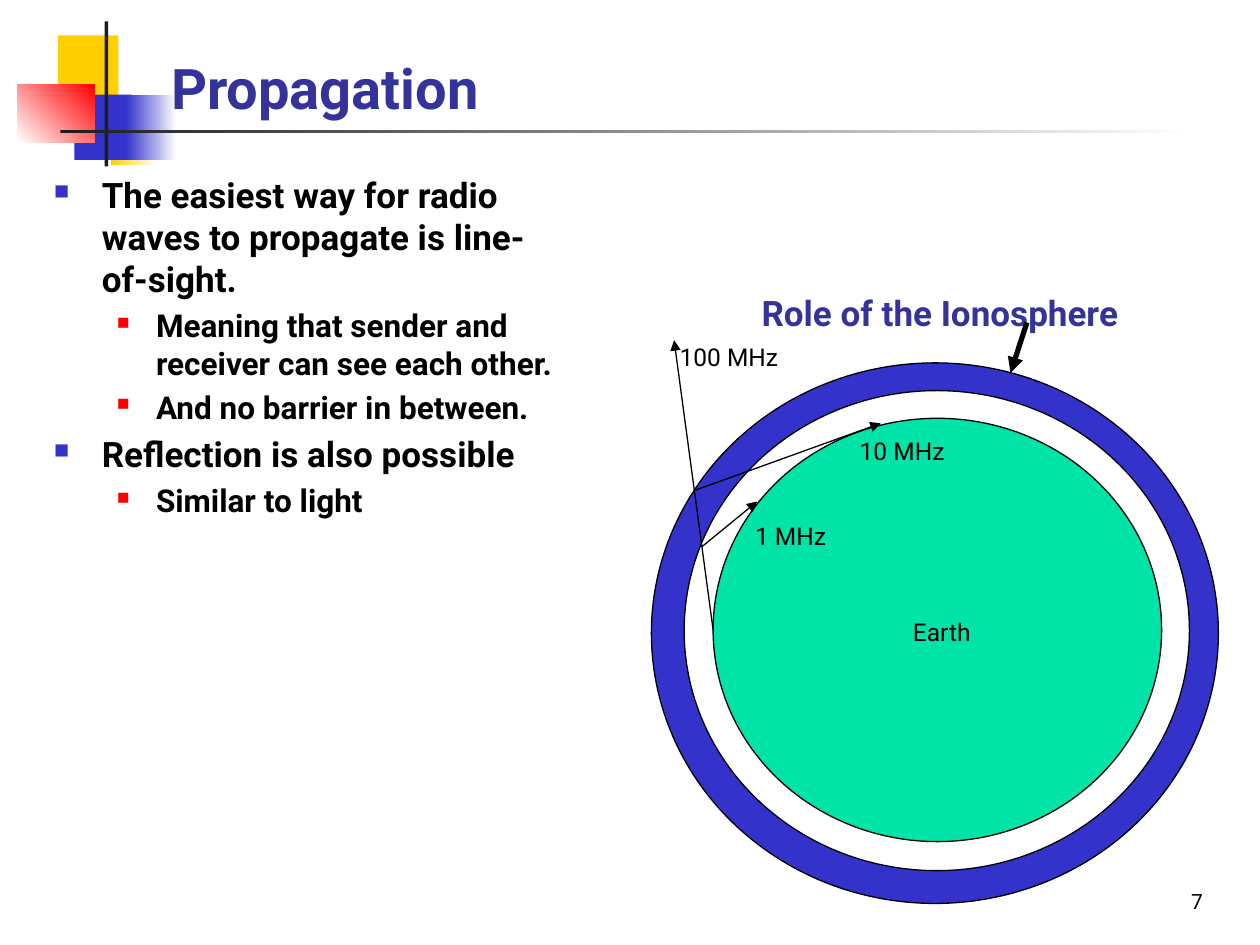
from lxml import etree
from pptx import Presentation
from pptx.dml.color import RGBColor
from pptx.enum.shapes import MSO_CONNECTOR, MSO_SHAPE
from pptx.enum.text import MSO_ANCHOR, PP_ALIGN
from pptx.oxml.ns import qn
from pptx.util import Inches, Pt

RECTANGLE, OVAL = MSO_SHAPE.RECTANGLE, MSO_SHAPE.OVAL
STRAIGHT = MSO_CONNECTOR.STRAIGHT
TOP, MIDDLE, BOTTOM = MSO_ANCHOR.TOP, MSO_ANCHOR.MIDDLE, MSO_ANCHOR.BOTTOM
LEFT, CENTER = PP_ALIGN.LEFT, PP_ALIGN.CENTER

FONT = "Roboto"
BLACK, WHITE, CHARCOAL = "000000", "FFFFFF", "1C1C1C"
BLUE, NAVY, RED, YELLOW, GREEN = "3333CC", "333399", "FF0000", "FFCF01", "00E4A8"

BULLET_LEVELS = [
    {"size": 20, "margin": 0.38, "hanging": 0.38, "color": BLUE, "percent": 60},
    {"size": 18, "margin": 0.81, "hanging": 0.31, "color": RED, "percent": 55},
]
POINTS = [
    (0, "The easiest way for radio waves to propagate is line-of-sight."),
    (1, "Meaning that sender and receiver can see each other."),
    (1, "And no barrier in between."),
    (0, "Reflection is also possible"),
    (1, "Similar to light"),
]


def rgb(color):
    """Turn a hex string into a colour."""
    return RGBColor.from_string(color)


def add_child(parent, tag, **values):
    """Append a drawing element with the given attributes."""
    child = etree.SubElement(parent, qn(tag))
    for name, value in values.items():
        child.set(name, str(value))
    return child


def format_font(font, size, color, bold):
    """Set the font from a dict of format values."""
    values = {"name": FONT, "size": Pt(size), "bold": bold}
    for name, value in values.items():
        setattr(font, name, value)
    font.color.rgb = rgb(color)


def add_solid(page, kind, box, colors, line=None, angle=0):
    """Draw a shape with one colour or a two-colour gradient."""
    shape = page.shapes.add_shape(kind, *map(Inches, box))
    shape.shadow.inherit = False
    if len(colors) == 1:
        shape.fill.solid()
        shape.fill.fore_color.rgb = rgb(colors[0])
    else:
        shape.fill.gradient()
        shape.fill.gradient_angle = angle
        for stop, color in zip(shape.fill.gradient_stops, colors):
            stop.color.rgb = rgb(color)
    if line:
        shape.line.color.rgb = rgb(line)
        shape.line.width = Pt(0.75)
    else:
        shape.line.fill.background()


def add_text(page, box, text, size, color=BLACK, bold=False, align=CENTER,
             anchor=TOP, wrap=True):
    """Place one paragraph of text in a box."""
    frame = page.shapes.add_textbox(*map(Inches, box)).text_frame
    for name, value in {"word_wrap": wrap, "vertical_anchor": anchor}.items():
        setattr(frame, name, value)
    para = frame.paragraphs[0]
    para.text = text
    para.alignment = align
    format_font(para.font, size, color, bold)


def add_arrow(page, start, end, width=0.75):
    """Draw a straight line with an arrowhead at its end."""
    arrow = page.shapes.add_connector(STRAIGHT, *map(Inches, start + end))
    arrow.line.color.rgb = rgb(BLACK)
    arrow.line.width = Pt(width)
    add_child(arrow.line._get_or_add_ln(), "a:tailEnd", type="triangle")
    add_child(arrow._element.spPr, "a:effectLst")


def draw_ornament(page, left, top):
    """Draw the overlapping squares and the two rules."""
    parts = [
        ((0.32, 0.11, 0.48, 0.52), [YELLOW], 0),
        ((0.74, 0.62, 0.36, 0.52), [YELLOW, WHITE], 0),
        ((0.45, 0.58, 0.46, 0.52), [BLUE], 0),
        ((0.86, 0.58, 0.4, 0.52), [BLUE, WHITE], 0),
        ((0, 0.5, 0.61, 0.46), [WHITE, RED], 45),
        ((0.69, 0, 0.03, 1.15), [CHARCOAL], 0),
        ((0.34, 0.86, 9, 0.03), [CHARCOAL, WHITE], 0),
    ]
    for (x, y, width, height), colors, angle in parts:
        box = (left + x, top + y, width, height)
        add_solid(page, RECTANGLE, box, colors, angle=angle)


def draw_points(page, box):
    """Write the two-level bullet list."""
    frame = page.shapes.add_textbox(*map(Inches, box)).text_frame
    frame.word_wrap = True
    for index, (level, text) in enumerate(POINTS):
        style = BULLET_LEVELS[level]
        para = frame.add_paragraph() if index else frame.paragraphs[0]
        para.text = text
        para.level = level
        properties = para._p.get_or_add_pPr()
        properties.set("marL", str(Inches(style["margin"])))
        properties.set("indent", str(-Inches(style["hanging"])))
        add_child(add_child(properties, "a:buClr"), "a:srgbClr", val=style["color"])
        add_child(properties, "a:buSzPct", val=style["percent"] * 1000)
        add_child(properties, "a:buChar", char="■")
        if index:
            para.space_before = Pt(style["size"] * 0.2)
        format_font(para.font, style["size"], BLACK, True)


def draw_ionosphere(page, left, top):
    """Draw the Earth, the layer around it and the radio paths."""
    layers = [
        ((0, 0.71, 4.5, 4.29), BLUE),
        ((0.26, 0.93, 4.01, 3.81), WHITE),
        ((0.49, 1.15, 3.56, 3.36), GREEN),
    ]
    arrows = [
        ((0.49, 2.83), (0.18, 0.53), 0.75),
        ((0.35, 1.72), (1.82, 1.19), 0.75),
        ((0.4, 2.17), (0.84, 1.81), 0.75),
        ((2.98, 0.39), (2.85, 0.79), 3),
    ]
    labels = [
        ("100 MHz", 0.12, 0.49, 0.99),
        ("1 MHz", 0.72, 1.91, 0.77),
        ("10 MHz", 1.55, 1.24, 0.88),
        ("Earth", 1.97, 2.67, 0.67),
    ]
    for (x, y, width, height), color in layers:
        add_solid(page, OVAL, (left + x, top + y, width, height), [color], BLACK)
    add_text(page, (left + 0.53, top, 3.52, 0.53), "Role of the Ionosphere",
             20, NAVY, True, anchor=BOTTOM)
    for start, end, width in arrows:
        add_arrow(page, (left + start[0], top + start[1]),
                  (left + end[0], top + end[1]), width)
    for text, x, y, width in labels:
        add_text(page, (left + x, top + y, width, 0.34), text, 14,
                 anchor=MIDDLE, wrap=False)


def main():
    """Build and save the slide."""
    deck = Presentation()
    deck.slide_width, deck.slide_height = Inches(10), Inches(7.5)
    page = deck.slides.add_slide(deck.slide_layouts[6])
    draw_ornament(page, 0.14, 0.17)
    add_text(page, (1.26, 0.18, 8.52, 0.83), "Propagation", 32, NAVY, True,
             align=LEFT, anchor=BOTTOM)
    draw_points(page, (0.33, 1.33, 4.25, 5.83))
    add_text(page, (9, 7, 1, 0.5), "7", 12)
    draw_ionosphere(page, 5.17, 2.17)
    deck.save("out.pptx")


if __name__ == "__main__":
    main()
